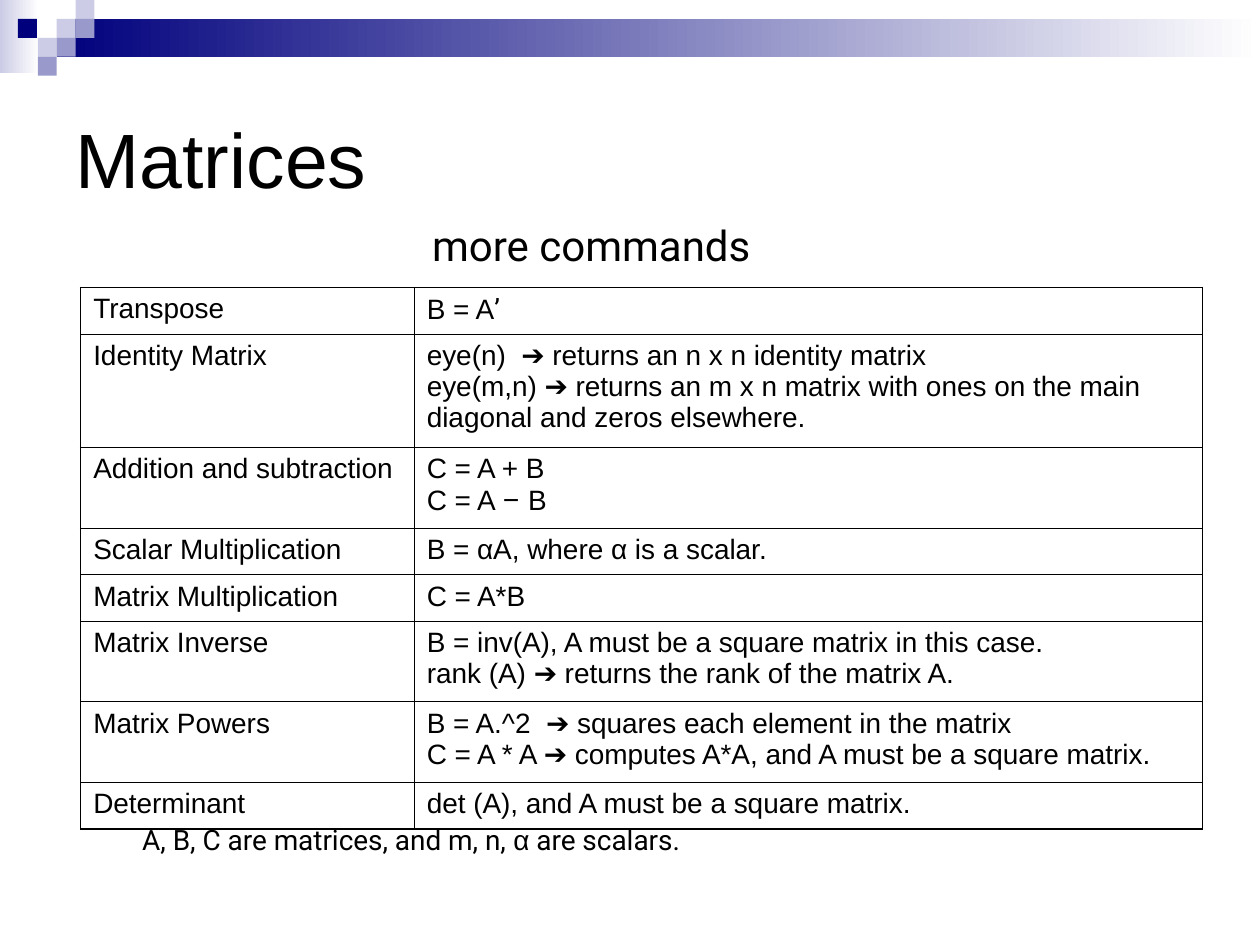
"""Build the Matrices slide: a corner motif, a title and a table of matrix commands."""
from lxml import etree
from pptx import Presentation
from pptx import util as u
from pptx.dml.color import RGBColor
from pptx.enum import shapes, text
from pptx.oxml.ns import qn

ROWS = [
    (26.64, "Transpose", ["B = A|’"]),
    (64.8, "Identity Matrix", [
        "eye(n)  ➔ returns an n x n identity matrix",
        "eye(m,n) ➔ returns an m x n matrix with ones on the main diagonal and zeros elsewhere."]),
    (46.08, "Addition and subtraction", ["C = A + B", "C = A |–| B"]),
    (26.64, "Scalar Multiplication", ["B = αA, where α is a scalar."]),
    (26.64, "Matrix Multiplication", ["C = A*B"]),
    (46.08, "Matrix Inverse", [
        "B = inv(A), A must be a square matrix in this case.",
        "rank (A) ➔ returns the rank of the matrix A."]),
    (46.08, "Matrix Powers", [
        "B = A.^2  ➔ squares each element in the matrix",
        "C = A * A ➔ computes A*A, and A must be a square matrix."]),
    (26.64, "Determinant", ["det (A), and A must be a square matrix."]),
]
COLUMNS = [190.6, 450.4]
LABELS = [
    ("more commands", (239.8, 121.7, 198, 64.8), 24),
    ("A, B, C are matrices, and m, n, |α| are scalars.", (74.2, 466.6, 355.7, 26.6), 16),
]
BANDS = [((0, 0, 22.3, 41.8), "CCCCE6"), ((32.4, 10.8, 687.6, 21.6), "00007D")]
TILE = 10.8
TILES = [(3, 1, "CCCCE6"), (4, 0, "CCCCE6"), (4, 1, "9999CC"), (2, 2, "CCCCE6"),
         (0.95, 1, "00007D"), (3, 2, "9999CC"), (2, 3, "9999CC")]


def color(value):
    return RGBColor.from_string(value)


def points(box):
    return [u.Pt(length) for length in box]


def write(frame, lines, size=16, fonts=("Arial", "Roboto")):
    for number, line in enumerate(lines):
        paragraph = frame.add_paragraph() if number else frame.paragraphs[0]
        paragraph.alignment = text.PP_ALIGN.LEFT
        for part, words in enumerate(line.split("|")):
            run = paragraph.add_run()
            run.text = words
            run.font.name = fonts[part % 2]
            run.font.size = u.Pt(size)
            run.font.color.rgb = color("000000")


def add_block(slide, box, start, end=None):
    block = slide.shapes.add_shape(shapes.MSO_SHAPE.RECTANGLE, *points(box))
    block.shadow.inherit = False
    block.line.fill.background()
    if end:
        block.fill.gradient()
        block.fill.gradient_angle = 0
        for stop, shade in zip(block.fill.gradient_stops, (start, end)):
            stop.color.rgb = color(shade)
    else:
        block.fill.solid()
        block.fill.fore_color.rgb = color(start)


def set_borders(cell, outer):
    properties = cell._tc.get_or_add_tcPr()
    for side in "LRTB":
        width = u.Pt(1.08 if side in outer else 0.45)
        line = etree.SubElement(properties, qn(f"a:ln{side}"), w=str(width))
        fill = etree.SubElement(line, qn("a:solidFill"))
        etree.SubElement(fill, qn("a:srgbClr"), val="000000")


def add_commands(slide):
    box = (46.1, 164.2, sum(COLUMNS), sum(row[0] for row in ROWS))
    table = slide.shapes.add_table(len(ROWS), len(COLUMNS), *points(box)).table
    table.first_row = table.horz_banding = False
    for column, width in zip(table.columns, COLUMNS):
        column.width = u.Pt(width)
    for r, (height, name, commands) in enumerate(ROWS):
        table.rows[r].height = u.Pt(height)
        edge = "T" if r == 0 else "B" if r == len(ROWS) - 1 else ""
        for c, lines in enumerate(([name], commands)):
            cell = table.cell(r, c)
            write(cell.text_frame, lines)
            set_borders(cell, edge + "LR"[c])
            cell.fill.background()


def main():
    deck = Presentation()
    deck.slide_width, deck.slide_height = u.Pt(720), u.Pt(540)
    slide = deck.slides.add_slide(deck.slide_layouts[5])
    for box, shade in BANDS:
        add_block(slide, box, shade, "FFFFFF")
    for column, row, shade in TILES:
        add_block(slide, (column * TILE, row * TILE, TILE, TILE), shade)

    title = slide.shapes.title
    title.left, title.top, title.width, title.height = points((36, 36, 648, 108))
    title.text_frame.vertical_anchor = text.MSO_ANCHOR.MIDDLE
    write(title.text_frame, ["Matrices"], size=44)

    add_commands(slide)
    for words, box, size in LABELS:
        frame = slide.shapes.add_textbox(*points(box)).text_frame
        frame.word_wrap = True
        write(frame, [words], size=size, fonts=("Roboto", "Arial"))
    deck.save("out.pptx")


if __name__ == "__main__":
    main()
